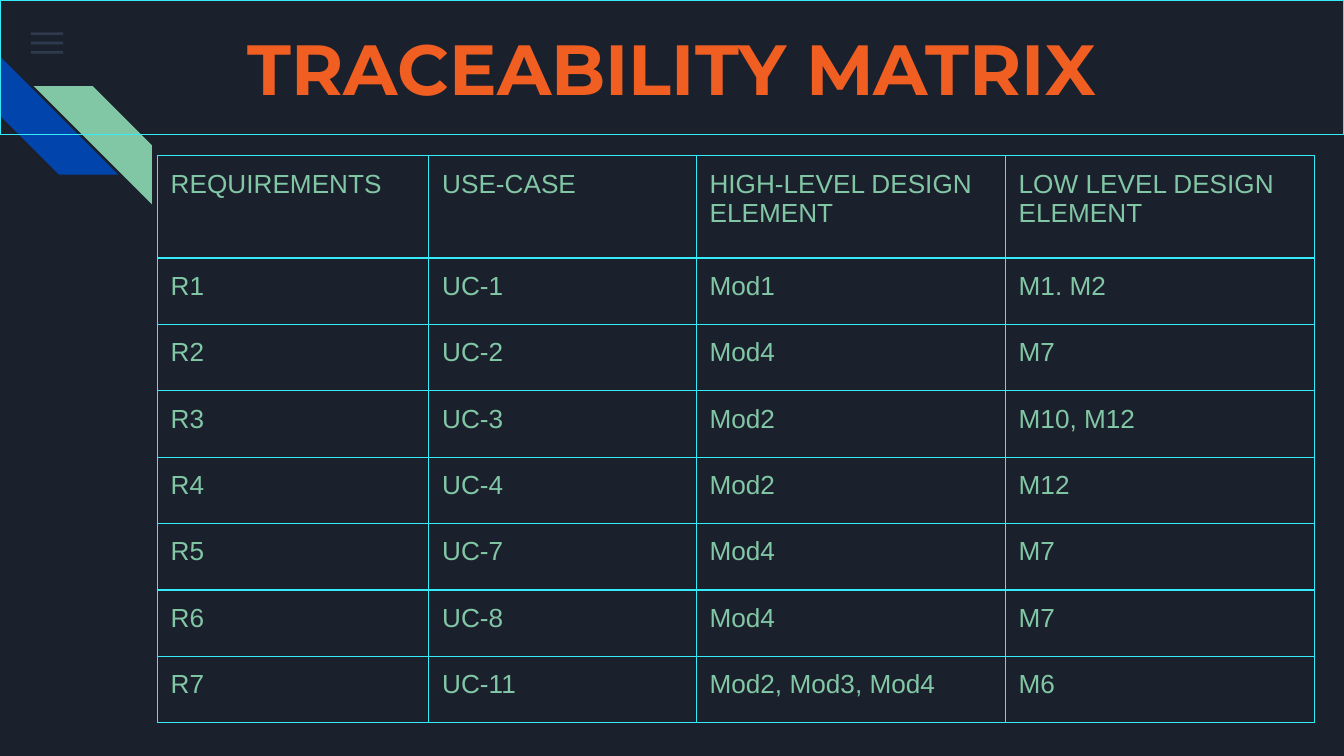
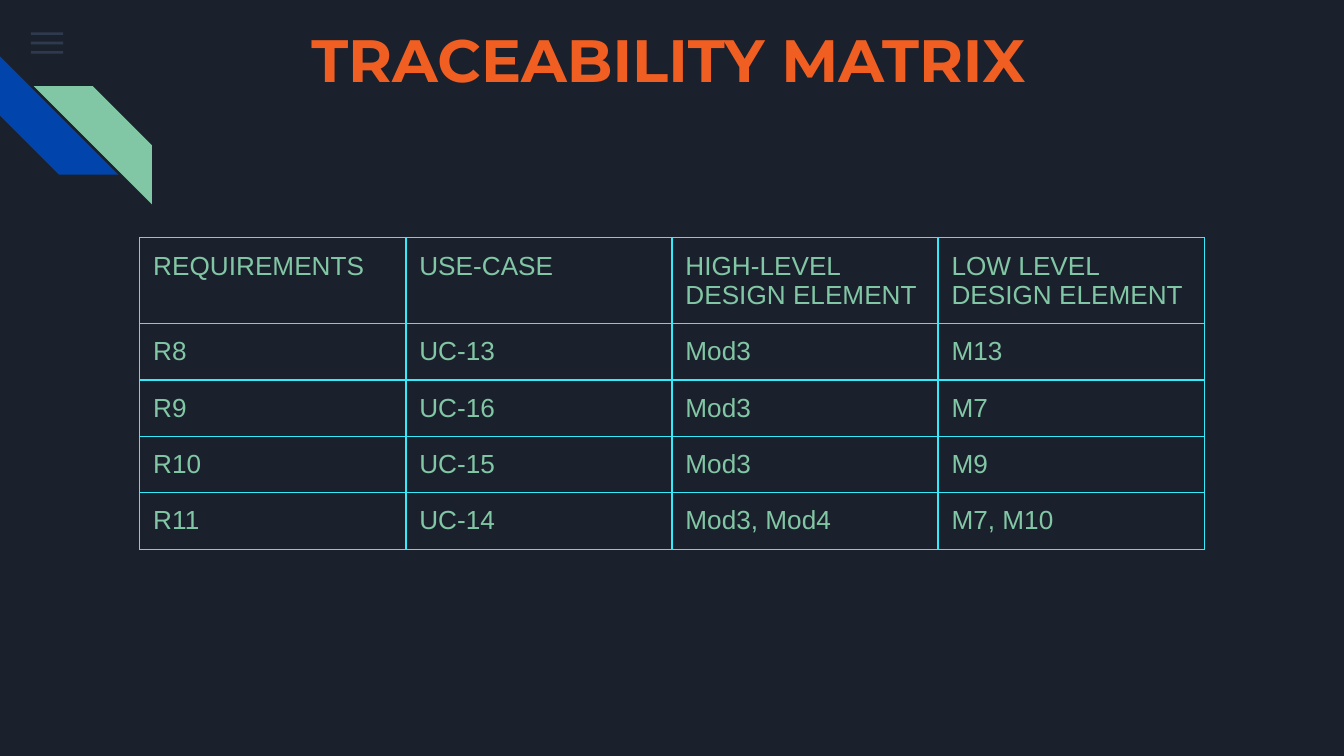
from lxml import etree
from pptx import Presentation
from pptx import util as u
from pptx.dml.color import RGBColor
from pptx.enum import shapes, text
from pptx.oxml import ns

BACKGROUND = RGBColor(0x1B, 0x21, 0x2C)
SLATE = RGBColor(0x55, 0x68, 0x8B)
BLUE = RGBColor(0x01, 0x45, 0xAC)
GREEN = RGBColor(0x82, 0xC7, 0xA5)
ORANGE = RGBColor(0xF1, 0x5E, 0x22)
CYAN = RGBColor(0x35, 0xEB, 0xFA)
TITLE_FONT = "Montserrat"
TABLE_FONT = "Arial"
INSET = u.Inches(0.1)
BORDER = u.Pt(0.75)

TITLE = "TRACEABILITY MATRIX"
HEADER = ("REQUIREMENTS", "USE-CASE",
          "HIGH-LEVEL DESIGN ELEMENT", "LOW LEVEL DESIGN ELEMENT")
FIRST_REQUIREMENTS = [
    ("R1", "UC-1", "Mod1", "M1. M2"),
    ("R2", "UC-2", "Mod4", "M7"),
    ("R3", "UC-3", "Mod2", "M10, M12"),
    ("R4", "UC-4", "Mod2", "M12"),
    ("R5", "UC-7", "Mod4", "M7"),
    ("R6", "UC-8", "Mod4", "M7"),
    ("R7", "UC-11", "Mod2, Mod3, Mod4", "M6"),
]
LAST_REQUIREMENTS = [
    ("R8", "UC-13", "Mod3", "M13"),
    ("R9", "UC-16", "Mod3", "M7"),
    ("R10", "UC-15", "Mod3", "M9"),
    ("R11", "UC-14", "Mod3, Mod4", "M7, M10"),
]


def add_plain_shape(slide, kind, left, top, width, height, color):
    shape = slide.shapes.add_shape(
        kind, u.Inches(left), u.Inches(top), u.Inches(width), u.Inches(height))
    shape.shadow.inherit = False
    shape.fill.solid()
    shape.fill.fore_color.rgb = color
    shape.line.fill.background()
    return shape


def add_menu_icon(slide):
    bars = []
    for index in range(3):
        bar = add_plain_shape(slide, shapes.MSO_SHAPE.RECTANGLE,
                              0.23, 0.24 + 0.07 * index, 0.24, 0.02, SLATE)
        color = bar.fill._xPr.find(".//" + ns.qn("a:srgbClr"))
        etree.SubElement(color, ns.qn("a:alpha"), val="36000")
        bars.append(bar)
    return bars


def add_stripes(slide):
    stripe = shapes.MSO_SHAPE.DIAGONAL_STRIPE
    blue = add_plain_shape(slide, stripe, 0, 0.42, 0.88, 0.88, BLUE)
    blue.rotation = 270
    green = add_plain_shape(slide, stripe, 0.25, 0.64, 0.88, 0.88, GREEN)
    green._element.spPr.xfrm.set("flipH", "1")
    return [blue, green]


def move_to_layout(slide, decorations):
    """Put the decorations on the layout, so that every slide shows them."""
    tree = slide.slide_layout.shapes._spTree
    for shape_id, shape in enumerate(decorations, start=100):
        shape._element.nvSpPr.cNvPr.set("id", str(shape_id))
        tree.append(shape._element)


def set_title(slide, width, height, size):
    title = slide.shapes.title
    title.left, title.top = 0, 0
    title.width, title.height = u.Inches(width), u.Inches(height)
    frame = title.text_frame
    frame.text = TITLE
    frame.word_wrap = True
    frame.auto_size = text.MSO_AUTO_SIZE.NONE
    frame.vertical_anchor = text.MSO_ANCHOR.MIDDLE
    frame.margin_left = frame.margin_right = INSET
    frame.margin_top = frame.margin_bottom = INSET
    para = frame.paragraphs[0]
    para.alignment = text.PP_ALIGN.CENTER
    font = para.runs[0].font
    font.name, font.size, font.bold = TITLE_FONT, u.Pt(size), True
    font.color.rgb = ORANGE
    return title


def add_borders(cell):
    properties = cell._tc.get_or_add_tcPr()
    for side in ("lnL", "lnR", "lnT", "lnB"):
        line = etree.SubElement(properties, ns.qn("a:" + side), w=str(BORDER))
        fill = etree.SubElement(line, ns.qn("a:solidFill"))
        etree.SubElement(fill, ns.qn("a:srgbClr"), val=str(CYAN))


def fill_cell(cell, wording):
    cell.text = wording
    cell.margin_left = cell.margin_right = INSET
    cell.margin_top = cell.margin_bottom = INSET
    add_borders(cell)
    cell.fill.background()
    font = cell.text_frame.paragraphs[0].runs[0].font
    font.name, font.size = TABLE_FONT, u.Pt(14)
    font.color.rgb = GREEN


def add_matrix(slide, left, top, widths, header_height, body_height, requirements):
    """Add a table whose rows below the header share body_height equally."""
    rows = [HEADER, *requirements]
    row_height = body_height / len(requirements)
    heights = [header_height] + [row_height] * len(requirements)
    table = slide.shapes.add_table(
        len(rows), len(widths), u.Inches(left), u.Inches(top),
        u.Inches(sum(widths)), u.Inches(sum(heights))).table
    table.first_row = table.horz_banding = False
    for column, width in zip(table.columns, widths):
        column.width = u.Inches(width)
    for row, height, wordings in zip(table.rows, heights, rows):
        row.height = u.Inches(height)
        for cell, wording in zip(row.cells, wordings):
            fill_cell(cell, wording)


def main():
    deck = Presentation()
    deck.slide_width = u.Inches(10)
    deck.slide_height = u.Inches(10 * 9 / 16)
    background = deck.slide_master.background.fill
    background.solid()
    background.fore_color.rgb = BACKGROUND
    title_only = deck.slide_layouts[5]

    first = deck.slides.add_slide(title_only)
    move_to_layout(first, add_menu_icon(first) + add_stripes(first))
    title = set_title(first, 10, 1, 38)
    title.line.color.rgb = CYAN
    title.line.width = BORDER
    add_matrix(first, 1.17, 1.16, [2.02, 1.99, 2.3, 2.3], 0.76, 3.46,
               FIRST_REQUIREMENTS)

    second = deck.slides.add_slide(title_only)
    set_title(second, 9.95, 0.87, 32)
    add_matrix(second, 1.04, 1.77, [1.98] * 4, 0.42, 1.68, LAST_REQUIREMENTS)

    deck.save("out.pptx")


if __name__ == "__main__":
    main()
